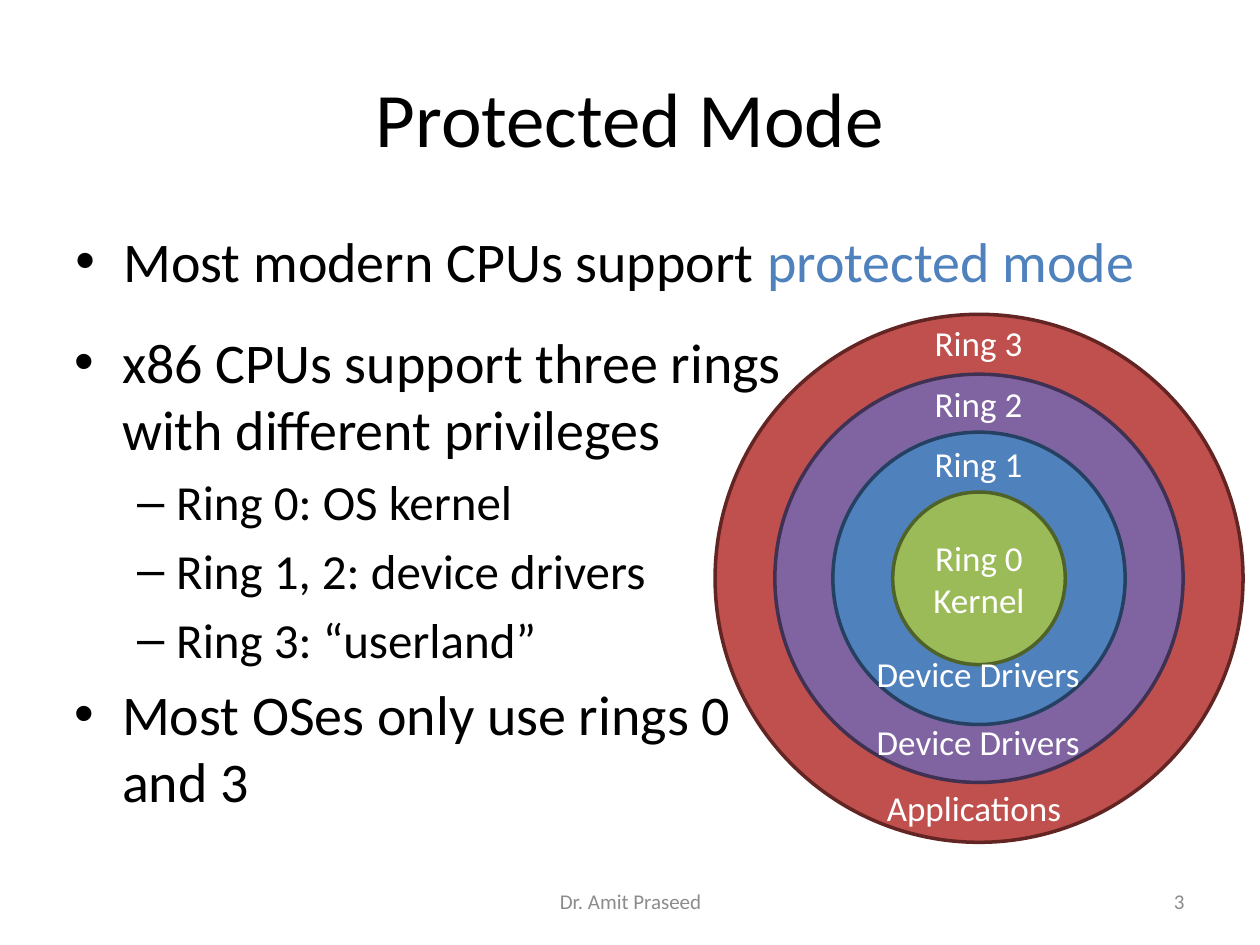
"""Build the Protected Mode slide with its concentric privilege rings."""
import pptx
import pptx.util
import pptx.dml.color
import pptx.enum.shapes
import pptx.enum.text
import lxml.etree

RGBColor = pptx.dml.color.RGBColor
ALIGN = pptx.enum.text.PP_ALIGN
ANCHOR = pptx.enum.text.MSO_ANCHOR
AUTO = pptx.enum.text.MSO_AUTO_SIZE

PX = 9144
FONT = "Calibri"
BLACK = RGBColor(0x00, 0x00, 0x00)
WHITE = RGBColor(0xFF, 0xFF, 0xFF)
GREY = RGBColor(0x8C, 0x8C, 0x8C)
BLUE = RGBColor(0x4F, 0x81, 0xBD)
RED = RGBColor(0xC0, 0x50, 0x4D)
PURPLE = RGBColor(0x80, 0x64, 0xA2)
GREEN = RGBColor(0x9B, 0xBB, 0x59)
DARK_RED = RGBColor(0x63, 0x25, 0x23)
DARK_PURPLE = RGBColor(0x40, 0x31, 0x52)
DARK_BLUE = RGBColor(0x25, 0x40, 0x61)
DARK_GREEN = RGBColor(0x4F, 0x62, 0x28)

LEVELS = [
    {"size": 32, "margin": 38, "indent": -38, "bullet": "•"},
    {"size": 28, "margin": 81, "indent": -31, "bullet": "–"},
]
INTRO = [(0, [("Most modern CPUs support ", BLACK), ("protected mode", BLUE)])]
DETAILS = [
    (0, [("x86 CPUs support three rings with different privileges", BLACK)]),
    (1, [("Ring 0: OS kernel", BLACK)]),
    (1, [("Ring 1, 2: device drivers", BLACK)]),
    (1, [("Ring 3: “userland”", BLACK)]),
    (0, [("Most OSes only use rings 0 and 3", BLACK)]),
]
BULLET_LISTS = [((50, 175, 900, 76), INTRO), ((49, 255, 609, 413), DETAILS)]

CENTRE = (777, 459)
RINGS = [
    (419, RED, DARK_RED),
    (324, PURPLE, DARK_PURPLE),
    (232, BLUE, DARK_BLUE),
    (137, GREEN, DARK_GREEN),
]
KERNEL = ["Ring 0", "Kernel"]
RING_LABELS = [
    ("Ring 1", 346, 90),
    ("Ring 2", 299, 90),
    ("Ring 3", 250, 90),
    ("Device Drivers", 513, 183),
    ("Device Drivers", 567, 183),
    ("Applications", 619, 167),
]
LABEL_HEIGHT = 44

PLAIN_TEXTS = [
    ("Protected Mode", (50, 30, 900, 125), 44, BLACK, ALIGN.CENTER),
    ("3", (717, 695, 233, 40), 12, GREY, ALIGN.RIGHT),
    ("Dr. Amit Praseed", (342, 695, 317, 40), 12, GREY, ALIGN.CENTER),
]


def emu(box):
    return [length * PX for length in box]


def set_all(target, values):
    for key, value in values.items():
        setattr(target, key, value)


def add_run(paragraph, words, size, colour):
    run = paragraph.add_run()
    run.text = words
    set_all(run.font, {"name": FONT, "size": pptx.util.Pt(size)})
    run.font.color.rgb = colour


def add_frame(slide, box, **frame_format):
    frame = slide.shapes.add_textbox(*emu(box)).text_frame
    set_all(frame, {"word_wrap": True, **frame_format})
    return frame


def next_paragraph(frame, index):
    return frame.add_paragraph() if index else frame.paragraphs[0]


def add_bullets(slide, box, items):
    frame = add_frame(slide, box)
    for index, (level, runs) in enumerate(items):
        style = LEVELS[level]
        paragraph = next_paragraph(frame, index)
        set_all(paragraph, {"level": level,
                            "space_before": pptx.util.Pt(style["size"] * 0.2)})
        properties = paragraph._p.get_or_add_pPr()
        properties.set("marL", str(style["margin"] * PX))
        properties.set("indent", str(style["indent"] * PX))
        namespace = pptx.oxml.ns.qn
        lxml.etree.SubElement(properties, namespace("a:buFont"), typeface="Arial")
        lxml.etree.SubElement(properties, namespace("a:buChar"), char=style["bullet"])
        for words, colour in runs:
            add_run(paragraph, words, style["size"], colour)


def add_ring(slide, diameter, fill, outline):
    left, top = (middle - diameter / 2 for middle in CENTRE)
    box = [round(length) for length in emu((left, top, diameter, diameter))]
    ring = slide.shapes.add_shape(pptx.enum.shapes.MSO_SHAPE.OVAL, *box)
    ring.shadow.inherit = False
    ring.fill.solid()
    ring.fill.fore_color.rgb = fill
    ring.line.color.rgb = outline
    ring.line.width = pptx.util.Pt(2)
    return ring


def main():
    deck = pptx.Presentation()
    set_all(deck, {"slide_width": 1000 * PX, "slide_height": 750 * PX})
    slide = deck.slides.add_slide(deck.slide_layouts[6])

    for ring_format in RINGS:
        kernel = add_ring(slide, *ring_format)
    kernel.text_frame.vertical_anchor = ANCHOR.MIDDLE
    for index, words in enumerate(KERNEL):
        paragraph = next_paragraph(kernel.text_frame, index)
        paragraph.alignment = ALIGN.CENTER
        add_run(paragraph, words, 20, WHITE)

    for words, top, width in RING_LABELS:
        box = (CENTRE[0] - width // 2, top, width, LABEL_HEIGHT)
        frame = add_frame(slide, box, word_wrap=False,
                          auto_size=AUTO.SHAPE_TO_FIT_TEXT)
        add_run(frame.paragraphs[0], words, 20, WHITE)

    for box, items in BULLET_LISTS:
        add_bullets(slide, box, items)

    for words, box, size, colour, alignment in PLAIN_TEXTS:
        frame = add_frame(slide, box, vertical_anchor=ANCHOR.MIDDLE)
        frame.paragraphs[0].alignment = alignment
        add_run(frame.paragraphs[0], words, size, colour)

    deck.save("out.pptx")


if __name__ == "__main__":
    main()
